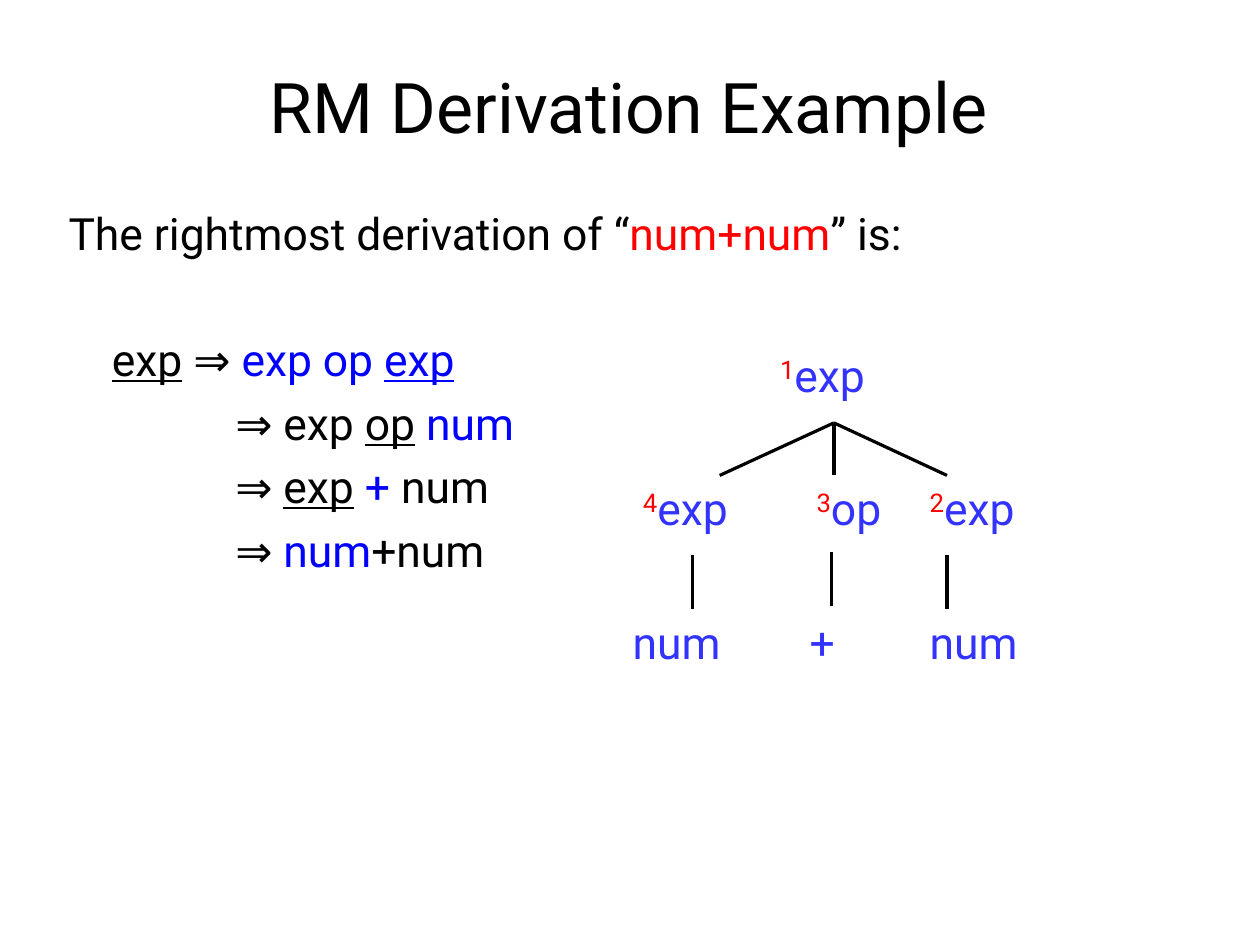
from lxml import etree
from pptx import Presentation
from pptx.dml.color import RGBColor
from pptx.enum.shapes import MSO_CONNECTOR
from pptx.enum.text import MSO_ANCHOR, MSO_AUTO_SIZE, PP_ALIGN
from pptx.oxml.ns import qn
from pptx.util import Pt

STRAIGHT = MSO_CONNECTOR.STRAIGHT
TOP, MIDDLE = MSO_ANCHOR.TOP, MSO_ANCHOR.MIDDLE
NO_FIT = MSO_AUTO_SIZE.NONE
LEFT, CENTER = PP_ALIGN.LEFT, PP_ALIGN.CENTER

BLACK = RGBColor(0x00, 0x00, 0x00)
RED = RGBColor(0xFF, 0x00, 0x00)
BLUE = RGBColor(0x00, 0x00, 0xFF)
NODE_BLUE = RGBColor(0x33, 0x33, 0xFF)
FONT = "Roboto"
TEXT_SIZE = 28
EMU_PER_PX = 9144

INTRO = [("The rightmost derivation of “", BLACK, False),
         ("num+num", RED, False), ("” is:", BLACK, False)]
STEPS = [
    [("exp", BLACK, True), (" ⇒ ", BLACK, False),
     ("exp op ", BLUE, False), ("exp", BLUE, True)],
    [("⇒ exp ", BLACK, False), ("op", BLACK, True), (" ", BLACK, False),
     ("num", BLUE, False)],
    [("⇒ ", BLACK, False), ("exp", BLACK, True), (" ", BLACK, False),
     ("+", BLUE, False), (" num", BLACK, False)],
    [("⇒ ", BLACK, False), ("num", BLUE, False), ("+num", BLACK, False)],
]

NODES = [
    (129, 0, 142, "1", "exp"),
    (9, 116, 127, "4", "exp"),
    (161, 116, 100, "3", "op"),
    (260, 116, 135, "2", "exp"),
    (0, 233, 136, "", "num"),
    (155, 233, 66, "", "+"),
    (260, 233, 135, "", "num"),
]
NODE_HEIGHT = 70
ROOT_X = 186
BRANCH_ENDS = [86, 186, 285]
STEMS = [(62, 186), (184, 183), (285, 186)]
STEM_LENGTH = 47


def px(n):
    """Turn px into EMU."""
    return n * EMU_PER_PX


def place(sp, x, y, w, h):
    """Move and size a shape."""
    sp.left, sp.top, sp.width, sp.height = px(x), px(y), px(w), px(h)


def add_run(p, text, color, size=TEXT_SIZE, underline=False):
    """Add one formatted run to a paragraph."""
    r = p.add_run()
    r.text = text
    r.font.name = FONT
    r.font.size = Pt(size)
    r.font.color.rgb = color
    if underline:
        r.font.underline = True
    return r


def add_title(s, x, y, w, h):
    """Fill the title placeholder."""
    sp = s.shapes.title
    place(sp, x, y, w, h)
    tf = sp.text_frame
    tf.auto_size = NO_FIT
    tf.vertical_anchor = MIDDLE
    p = tf.paragraphs[0]
    p.alignment = CENTER
    add_run(p, "RM Derivation Example", BLACK, 44)


def add_body_line(p, runs, margin, space):
    """Write one unbulleted line of the body."""
    pPr = p._p.get_or_add_pPr()
    pPr.set("marL", str(px(margin)))
    pPr.set("indent", "0")
    etree.SubElement(pPr, qn("a:buNone"))
    p.alignment = LEFT
    p.space_before = Pt(space)
    for text, color, underline in runs:
        add_run(p, text, color, underline=underline)


def add_derivation(s, x, y, w, h):
    """Fill the body placeholder with the derivation steps."""
    sp = s.placeholders[1]
    place(sp, x, y, w, h)
    tf = sp.text_frame
    tf.auto_size = NO_FIT
    tf.vertical_anchor = TOP
    add_body_line(tf.paragraphs[0], INTRO, 0, 0)
    for i, runs in enumerate(STEPS):
        margin, space = (146, 6.5) if i else (38, 46)
        add_body_line(tf.add_paragraph(), runs, margin, space)


def add_edge(s, x1, y1, x2, y2):
    """Draw one edge of the tree."""
    line = s.shapes.add_connector(STRAIGHT, px(x1), px(y1), px(x2), px(y2))
    line.line.color.rgb = BLACK
    line.line.width = Pt(2)
    etree.SubElement(line._element.spPr, qn("a:effectLst"))


def add_node(s, x, y, w, order, label):
    """Write one tree node with its raised visiting order."""
    sp = s.shapes.add_textbox(px(x), px(y), px(w), px(NODE_HEIGHT))
    tf = sp.text_frame
    tf.word_wrap = True
    p = tf.paragraphs[0]
    if order:
        r = add_run(p, order, RED)
        r.font._element.set("baseline", "30000")
    add_run(p, label, NODE_BLUE)


def add_tree(s, x, y):
    """Draw the parse tree from its top left corner."""
    for end in BRANCH_ENDS:
        add_edge(s, x + ROOT_X, y + NODE_HEIGHT, x + end, y + 116)
    for dx, dy in STEMS:
        add_edge(s, x + dx, y + dy, x + dx, y + dy + STEM_LENGTH)
    for dx, dy, w, order, label in NODES:
        add_node(s, x + dx, y + dy, w, order, label)


def main():
    """Build and save the slide."""
    prs = Presentation()
    prs.slide_width, prs.slide_height = px(1103), px(826)
    s = prs.slides.add_slide(prs.slide_layouts[1])
    add_title(s, 50, 30, 1001, 125)
    add_derivation(s, 50, 175, 1001, 495)
    add_tree(s, 544, 300)
    prs.save("out.pptx")


if __name__ == "__main__":
    main()
